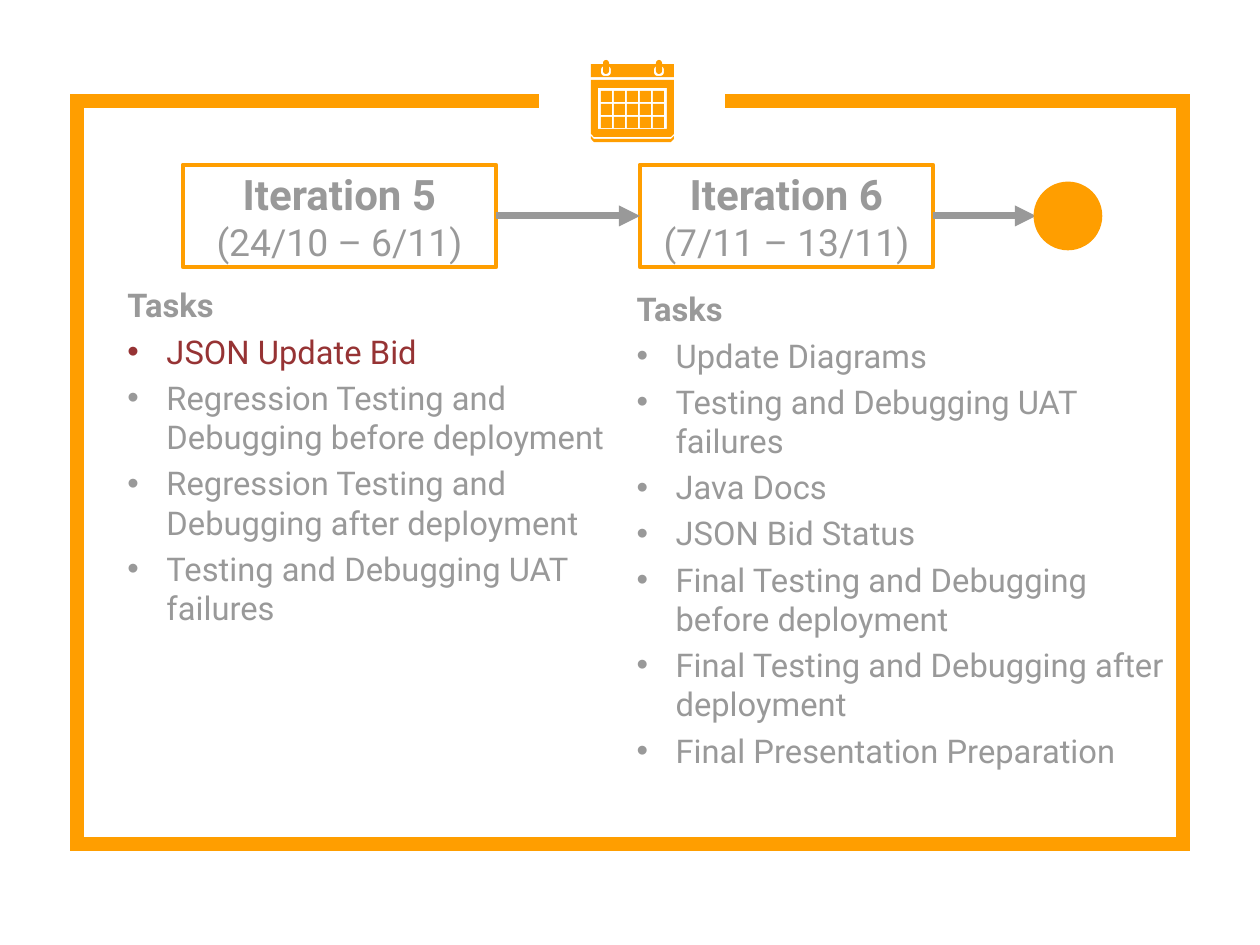
from math import cos, pi, sin

from lxml import etree
from pptx import Presentation
from pptx.dml.color import RGBColor
from pptx.enum.shapes import MSO_CONNECTOR, MSO_SHAPE
from pptx.enum.text import MSO_ANCHOR, MSO_AUTO_SIZE, PP_ALIGN
from pptx.oxml.ns import qn
from pptx.util import Emu, Pt

RECT = MSO_SHAPE.RECTANGLE
ROUND = MSO_SHAPE.ROUNDED_RECTANGLE
OVAL = MSO_SHAPE.OVAL
STRAIGHT = MSO_CONNECTOR.STRAIGHT
MIDDLE = MSO_ANCHOR.MIDDLE
CENTER = PP_ALIGN.CENTER
GROW = MSO_AUTO_SIZE.SHAPE_TO_FIT_TEXT

SCALE = 914400 / 168  # EMU in one px
FONT = "Roboto"
HEX = {"orange": "FF9E00", "gray": "999999", "red": "963334", "white": "FFFFFF"}

LEFT_TASKS = [
    ("JSON Update Bid", "red"),
    ("Regression Testing and Debugging before deployment", "gray"),
    ("Regression Testing and Debugging after deployment", "gray"),
    ("Testing and Debugging UAT failures", "gray"),
]
RIGHT_TASKS = [(task, "gray") for task in (
    "Update Diagrams",
    "Testing and Debugging UAT failures",
    "Java Docs",
    "JSON Bid Status",
    "Final Testing and Debugging before deployment",
    "Final Testing and Debugging after deployment",
    "Final Presentation Preparation",
)]


def px(n):
    return Emu(round(n * SCALE))


def color(name):
    return RGBColor.from_string(HEX[name])


def paint(shape, fill=None, line=None, width=2):
    shape.shadow.inherit = False
    for part, name in ((shape.fill, fill), (shape.line.fill, line)):
        if name:
            part.solid()
            part.fore_color.rgb = color(name)
        else:
            part.background()
    if line:
        shape.line.width = Pt(width)


def add_form(shapes, kind, area, fill, line=None):
    shape = shapes.add_shape(kind, *map(px, area))
    paint(shape, fill, line)
    return shape


def add_path(shapes, loops, close=True):
    path = shapes.build_freeform(*loops[0][0], scale=SCALE)
    path.add_line_segments(loops[0][1:], close=close)
    for loop in loops[1:]:
        path.move_to(*loop[0])
        path.add_line_segments(loop[1:], close=close)
    return path.convert_to_shape()


def style(para, size, name="gray", bold=False):
    font = para.font
    font.name, font.size, font.bold = FONT, Pt(size), bold
    font.color.rgb = color(name)


def add_frame(shapes):
    points = [(539, 101), (77, 101), (77, 844),
              (1183, 844), (1183, 101), (725, 101)]
    frame = add_path(shapes, [points], close=False)
    paint(frame, line="orange", width=6)
    miter = etree.SubElement(frame.line._get_or_add_ln(), qn("a:miter"))
    miter.set("lim", "800000")


def ring(x, y, radius, count=16):
    turns = [-2 * pi * i / count for i in range(count)]
    return [(x + radius * cos(t), y + radius * sin(t)) for t in turns]


def add_icon(shapes):
    icon = shapes.add_group_shape().shapes
    pins = (606, 659)
    # Header band, page and lower edge
    band = [(591, 64), (674, 64), (674, 77), (591, 77)]
    page = [(591, 80), (674, 80), (674, 134), (671, 137), (594, 137), (591, 134)]
    pane = [(598, 88), (598, 129), (667, 129), (667, 88)]
    edge = [(591, 136), (594, 139), (671, 139), (674, 136),
            (674, 139), (671, 142), (594, 142), (591, 139)]
    holes = [ring(x, 71, 5) for x in pins]
    for loops in ([band] + holes, [page, pane], [edge]):
        paint(add_path(icon, loops), "orange")
    # Pins
    for x in pins:
        pin = add_form(icon, ROUND, (x - 3, 60, 6, 14), "orange")
        pin.adjustments[0] = 0.5
    # Days
    for row in range(3):
        for col in range(5):
            add_form(icon, RECT, (601 + 13 * col, 91 + 13 * row, 11, 11), "orange")


def add_step(shapes, left, width, title, dates):
    step = add_form(shapes, RECT, (left, 165, width, 102), "white", "orange")
    frame = step.text_frame
    frame.word_wrap = True
    frame.vertical_anchor = MIDDLE
    frame.margin_left = frame.margin_right = px(12)
    frame.margin_top = frame.margin_bottom = px(7)
    for i, (text, size) in enumerate(((title, 18), (dates, 16))):
        para = frame.add_paragraph() if i else frame.paragraphs[0]
        para.text = text
        para.alignment = CENTER
        style(para, size, bold=not i)
    return step


def add_arrow(shapes, start, end):
    arrow = shapes.add_connector(STRAIGHT, px(start), px(216), px(end), px(216))
    arrow.line.width = Pt(3)
    arrow.line.color.rgb = color("gray")
    tip = etree.SubElement(arrow.line._get_or_add_ln(), qn("a:tailEnd"))
    tip.set("type", "triangle")
    etree.SubElement(arrow._element.spPr, qn("a:effectLst"))
    return arrow


def add_bullet(para):
    props = para._p.get_or_add_pPr()
    props.set("marL", str(px(39)))
    props.set("indent", str(-px(39)))
    etree.SubElement(props, qn("a:buFont")).set("typeface", "Arial")
    etree.SubElement(props, qn("a:buChar")).set("char", "•")


def add_tasks(shapes, area, tasks):
    frame = shapes.add_textbox(*map(px, area)).text_frame
    frame.word_wrap = True
    frame.auto_size = GROW
    head = frame.paragraphs[0]
    head.text = "Tasks"
    head.space_after = Pt(3)
    style(head, 14, bold=True)
    for text, name in tasks:
        para = frame.add_paragraph()
        para.text = text
        para.space_after = Pt(3)
        add_bullet(para)
        style(para, 14, name)


def main():
    deck = Presentation()
    deck.slide_width, deck.slide_height = px(1260), px(945)
    shapes = deck.slides.add_slide(deck.slide_layouts[6]).shapes

    # Frame and calendar
    add_frame(shapes)
    add_icon(shapes)

    # Timeline
    fifth = add_step(shapes, 183, 313, "Iteration 5", "(24/10 – 6/11)")
    sixth = add_step(shapes, 640, 293, "Iteration 6", "(7/11 – 13/11)")
    link = add_arrow(shapes, 496, 640)
    link.begin_connect(fifth, 3)
    link.end_connect(sixth, 1)
    add_arrow(shapes, 933, 1036).begin_connect(sixth, 3)
    add_form(shapes, OVAL, (1036, 184, 64, 64), "orange", "orange")

    # Task lists
    add_tasks(shapes, (111, 277, 522, 361), LEFT_TASKS)
    add_tasks(shapes, (620, 281, 571, 502), RIGHT_TASKS)

    deck.save("out.pptx")


if __name__ == "__main__":
    main()
